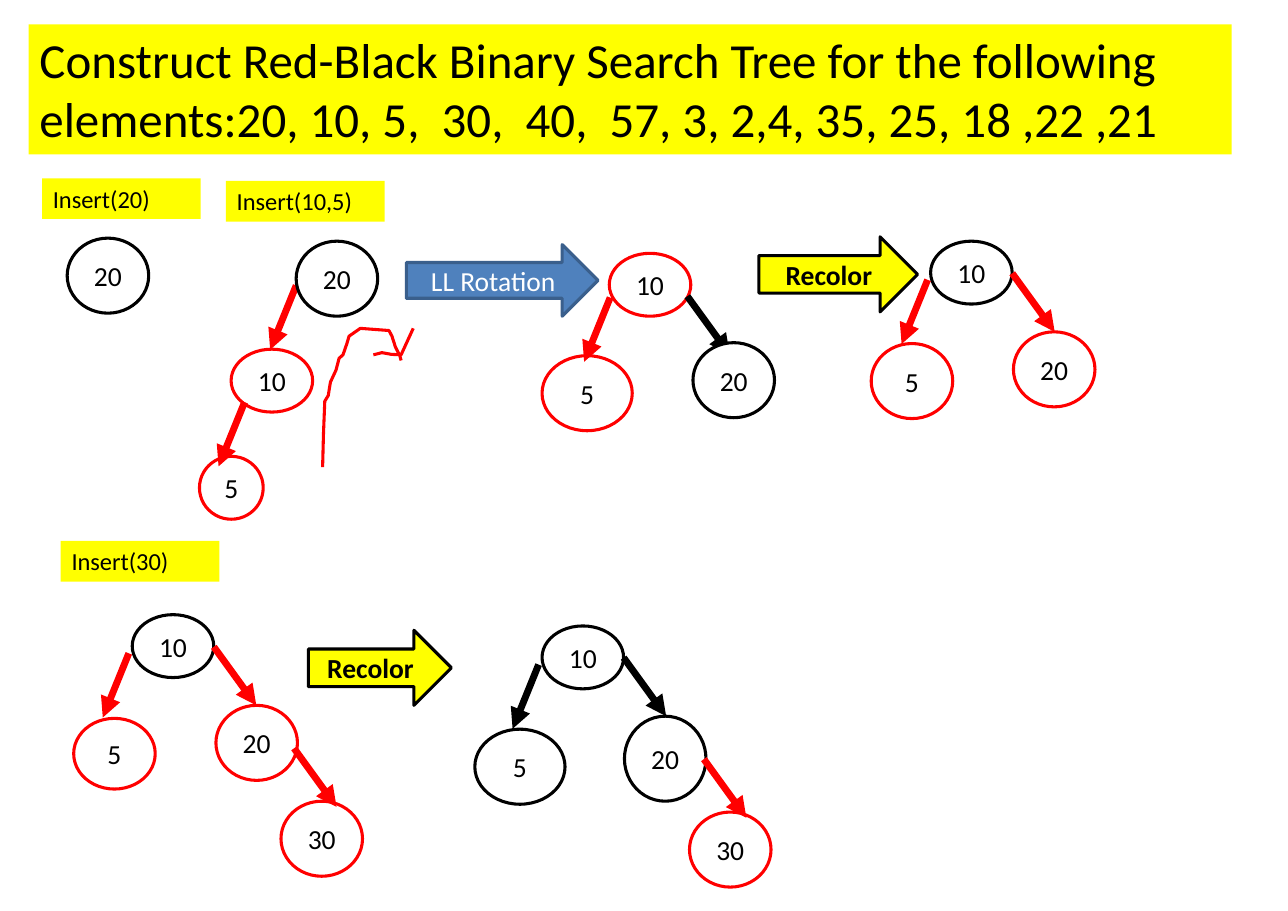
from lxml import etree
from pptx import Presentation
from pptx.dml.color import RGBColor
from pptx.enum import shapes, text
from pptx.oxml import ns
from pptx.util import Cm, Pt

BLACK = RGBColor(0, 0, 0)
WHITE = RGBColor(255, 255, 255)
RED = RGBColor(255, 0, 0)
YELLOW = RGBColor(255, 255, 0)
BLUE = RGBColor(0x4F, 0x81, 0xBD)
NAVY = RGBColor(0x3A, 0x5F, 0x8C)

# All lengths are in centimetres.
TITLE = ("Construct Red-Black Binary Search Tree for the following "
         "elements:20, 10, 5,  30,  40,  57, 3, 2,4, 35, 25, 18 ,22 ,21")
LABELS = [("Insert(20)", 0.97, 4.11), ("Insert(10,5)", 5.21, 4.17),
          ("Insert(30)", 1.4, 12.47)]
# text, left, top, width, height, fill, line, font colour, bold
STEPS = [
    ("LL Rotation", 9.37, 5.64, 4.42, 1.65, BLUE, NAVY, WHITE, False),
    ("Recolor", 17.5, 5.46, 3.66, 1.73, YELLOW, BLACK, BLACK, True),
    ("Recolor", 7.11, 14.53, 3.3, 1.73, YELLOW, BLACK, BLACK, True),
]

# Edges run from a start point by a fixed step to the left or right child.
EDGES = {"left": (-0.6, 1.48), "right": (0.98, 1.35)}
NODE = (1.88, 1.73)
FLAT = (1.88, 1.45)
WIDE = (2.08, 1.73)

# Back to front: (edge, colour, x, y) or (key, colour, left, top, size)
TREES = [
    [("20", BLACK, 1.55, 5.49, NODE)],
    [("10", RED, 5.33, 8.05, FLAT),
     ("left", RED, 6.83, 6.58),
     ("5", RED, 4.6, 10.52, (1.47, 1.45)),
     ("left", RED, 5.64, 9.27),
     ("20", BLACK, 6.83, 5.56, NODE)],
    [("10", RED, 14.05, 5.84, FLAT),
     ("right", BLACK, 15.85, 6.83),
     ("5", RED, 12.5, 8.2, WIDE),
     ("left", RED, 14.07, 6.86),
     ("20", BLACK, 15.98, 7.9, NODE)],
    [("10", BLACK, 21.46, 5.56, FLAT),
     ("right", RED, 23.34, 6.3),
     ("5", RED, 20.09, 7.92, NODE),
     ("left", RED, 21.39, 6.45),
     ("20", RED, 23.37, 7.65, NODE)],
    [("10", BLACK, 3.05, 14.17, FLAT),
     ("right", RED, 4.93, 14.91),
     ("5", RED, 1.7, 16.56, (1.88, 1.63)),
     ("left", RED, 2.97, 15.06),
     ("20", RED, 4.98, 16.26, NODE),
     ("30", RED, 6.48, 18.47, NODE),
     ("right", RED, 6.78, 17.25)],
    [("10", BLACK, 12.5, 14.43, FLAT),
     ("right", BLACK, 14.38, 15.16),
     ("5", BLACK, 10.95, 16.81, WIDE),
     ("left", BLACK, 12.42, 15.32),
     ("20", BLACK, 14.4, 16.51, (1.88, 1.96)),
     ("30", RED, 15.9, 18.72, NODE),
     ("right", RED, 16.23, 17.5)],
]

# The hand-drawn turn: a stem and its hooked head
STROKES = [
    [(7.44, 10.77), (7.46, 10), (7.49, 9.25), (7.57, 9.12), (7.62, 8.81),
     (7.75, 8.53), (7.82, 8.26), (7.91, 8.18), (8, 7.92), (8.05, 7.75),
     (8.31, 7.57), (8.97, 7.62), (9.04, 7.75), (9.12, 8), (9.22, 8.2),
     (9.25, 8.31)],
    [(8.61, 8.18), (8.81, 8.13), (9.03, 8.17), (9.25, 8.18), (9.37, 7.92),
     (9.53, 7.57)],
]

deck = Presentation()
deck.slide_width, deck.slide_height = Cm(29.7), Cm(21)
slide = deck.slides.add_slide(deck.slide_layouts[6])
parts = slide.shapes


def put(kind, words, box, fill, line=None, size=18, color=BLACK, bold=False,
        align=text.PP_ALIGN.CENTER, anchor=text.MSO_ANCHOR.MIDDLE):
    """Add a filled shape with one run of text."""
    shape = parts.add_shape(kind, *map(Cm, box))
    shape.shadow.inherit = False
    shape.fill.solid()
    shape.fill.fore_color.rgb = fill
    if line is None:
        shape.line.fill.background()
    else:
        shape.line.color.rgb = line
        shape.line.width = Pt(2)
    frame = shape.text_frame
    frame.word_wrap = True
    frame.vertical_anchor = anchor
    para = frame.paragraphs[0]
    para.alignment = align
    run = para.add_run()
    run.text = words
    run.font.name = "Calibri"
    run.font.size = Pt(size)
    run.font.bold = bold
    run.font.color.rgb = color


def banner(words, box, size):
    put(shapes.MSO_SHAPE.RECTANGLE, words, box, YELLOW, size=size,
        align=text.PP_ALIGN.LEFT, anchor=text.MSO_ANCHOR.TOP)


def edge(side, color, x, y):
    dx, dy = EDGES[side]
    line = parts.add_connector(shapes.MSO_CONNECTOR.STRAIGHT,
                               Cm(x), Cm(y), Cm(x + dx), Cm(y + dy))
    line.line.color.rgb = color
    line.line.width = Pt(4.5)
    tail = etree.SubElement(line.line._get_or_add_ln(), ns.qn("a:tailEnd"))
    tail.set("type", "triangle")
    etree.SubElement(line._element.spPr, ns.qn("a:effectLst"))


def stroke(points):
    first, *rest = [(Cm(x), Cm(y)) for x, y in points]
    path = parts.build_freeform(*first)
    path.add_line_segments(rest, close=False)
    shape = path.convert_to_shape()
    shape.shadow.inherit = False
    shape.fill.background()
    shape.line.color.rgb = RED
    shape.line.width = Pt(2)


banner(TITLE, (0.66, 0.56, 27.74, 3), 32)
for tree in TREES:
    for name, color, x, y, *size in tree:
        if name in EDGES:
            edge(name, color, x, y)
        else:
            put(shapes.MSO_SHAPE.OVAL, name, (x, y, *size[0]), WHITE, color)
for points in STROKES:
    stroke(points)
for words, x, y, w, h, fill, line, color, bold in STEPS:
    put(shapes.MSO_SHAPE.RIGHT_ARROW, words, (x, y, w, h), fill, line,
        color=color, bold=bold)
for words, x, y in LABELS:
    banner(words, (x, y, 3.66, 0.94), 16)

deck.save("out.pptx")
